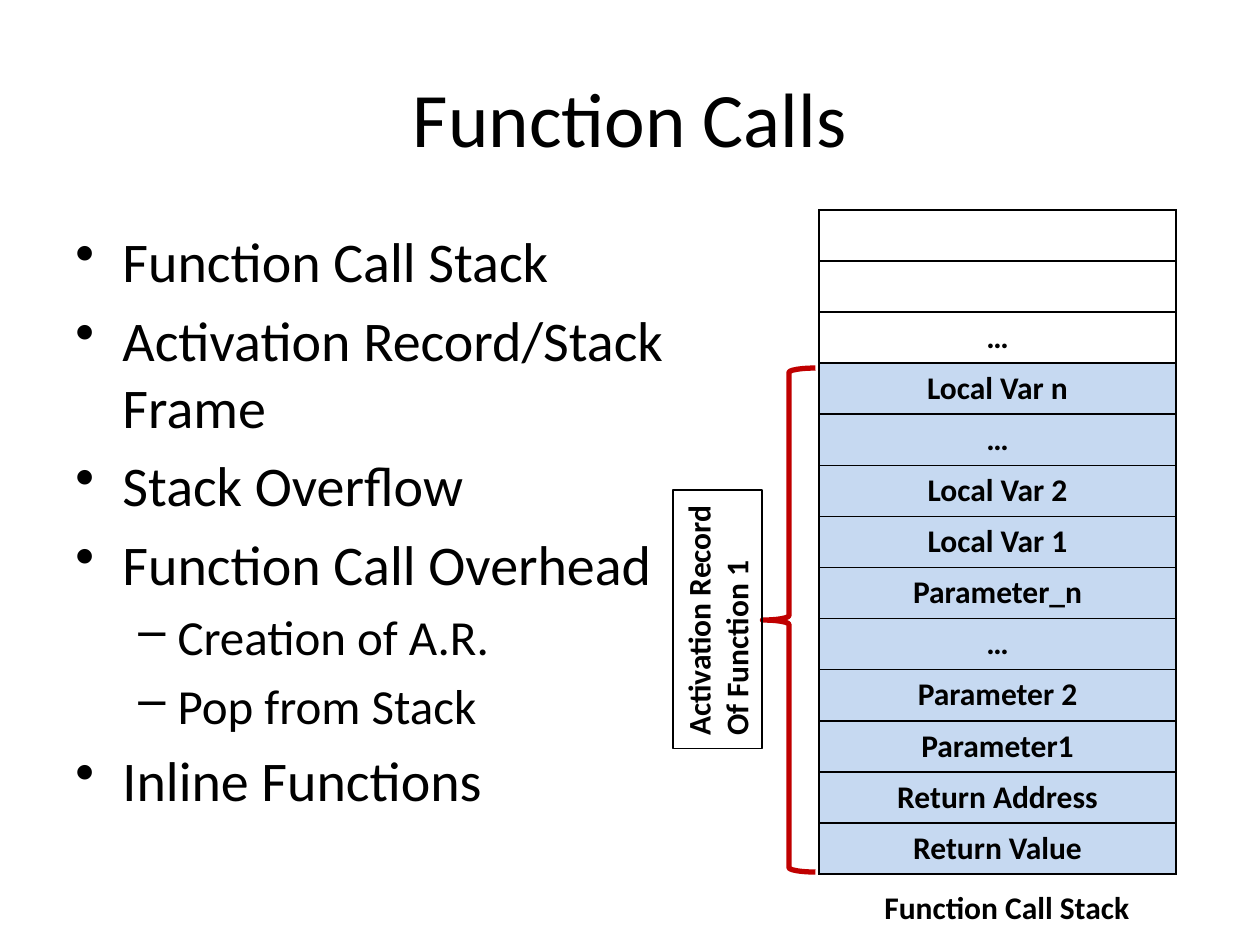
from lxml.etree import SubElement
from pptx import Presentation
from pptx.dml.color import RGBColor
from pptx.enum.shapes import MSO_SHAPE as Shape
from pptx.enum.text import MSO_ANCHOR as Anchor, PP_ALIGN as Align
from pptx.oxml.ns import qn
from pptx.util import Cm, Pt

COLORS = {"text": "000000", "record": "C6D9F1", "brace": "C00000"}


def color(name):
    return RGBColor.from_string(COLORS[name])


def write(paragraph, text, size, bold=False, align=Align.LEFT):
    paragraph.text = text
    paragraph.alignment = align
    font = paragraph.font
    font.name, font.size, font.bold = "Calibri", Pt(size), bold
    font.color.rgb = color("text")


deck = Presentation()
deck.slide_width, deck.slide_height = Cm(25.4), Cm(19.05)
page = deck.slides.add_slide(deck.slide_layouts[6])

# Title
title = page.shapes.add_textbox(Cm(1.27), Cm(0.76), Cm(22.86), Cm(3.18)).text_frame
title.word_wrap = True
title.vertical_anchor = Anchor.MIDDLE
write(title.paragraphs[0], "Function Calls", 44, align=Align.CENTER)

# Bulleted list: level, text
points = [
    (0, "Function Call Stack"),
    (0, "Activation Record/Stack Frame"),
    (0, "Stack Overflow"),
    (0, "Function Call Overhead"),
    (1, "Creation of A.R."),
    (1, "Pop from Stack"),
    (0, "Inline Functions"),
]
# Size, left margin, hanging indent and bullet of each level
levels = [(32, Cm(0.95), Cm(-0.95), "•"), (28, Cm(2.06), Cm(-0.79), "–")]
body = page.shapes.add_textbox(Cm(1.27), Cm(4.45), Cm(12.7), Cm(12.57)).text_frame
body.word_wrap = True
for index, (level, text) in enumerate(points):
    para = body.add_paragraph() if index else body.paragraphs[0]
    size, margin, indent, bullet = levels[level]
    write(para, text, size)
    para.level = level
    para.space_before = Pt(size * 0.2)
    props = para._p.get_or_add_pPr()
    props.set("marL", str(margin))
    props.set("indent", str(indent))
    mark = props.makeelement(qn("a:buChar"), {"char": bullet})
    props.insert_element_before(mark, "a:tabLst", "a:defRPr", "a:extLst")

# Call stack table
entries = ["", "", "…", "Local Var n", "…", "Local Var 2", "Local Var 1",
           "Parameter_n", "…", "Parameter 2", "Parameter1",
           "Return Address", "Return Value"]
first_record_row = 3
row_height = Cm(1.03)
stack = page.shapes.add_table(len(entries), 1, Cm(16.51), Cm(4.23), Cm(7.2),
                              row_height * len(entries)).table
stack.first_row = stack.horz_banding = False
for index, text in enumerate(entries):
    stack.rows[index].height = row_height
    cell = stack.cell(index, 0)
    write(cell.text_frame.paragraphs[0], text, 18, True, Align.CENTER)
    props = cell._tc.get_or_add_tcPr()
    for side in ("a:lnL", "a:lnR", "a:lnT", "a:lnB"):
        border = SubElement(props, qn(side), w=str(Pt(1)))
        fill = SubElement(border, qn("a:solidFill"))
        SubElement(fill, qn("a:srgbClr"), val=COLORS["text"])
    if index >= first_record_row:
        cell.fill.solid()
        cell.fill.fore_color.rgb = color("record")
    else:
        cell.fill.background()

# Table caption
caption = page.shapes.add_textbox(Cm(17.58), Cm(17.78), Cm(5.49), Cm(1.03)).text_frame
caption.word_wrap = False
write(caption.paragraphs[0], "Function Call Stack", 18, True)

# Brace around the activation record
brace = page.shapes.add_shape(Shape.LEFT_BRACE, Cm(15.37), Cm(7.42), Cm(1.07), Cm(10.16))
brace.shadow.inherit = False
brace.fill.background()
brace.line.color.rgb = color("brace")
brace.line.width = Pt(3)

# Rotated label of the activation record
label = page.shapes.add_shape(Shape.RECTANGLE, Cm(11.86), Cm(11.58), Cm(5.21), Cm(1.8))
label.rotation = 270
label.shadow.inherit = False
label.fill.background()
label.line.color.rgb = color("text")
label.line.width = Pt(0.75)
frame = label.text_frame
frame.word_wrap = False
frame.vertical_anchor = Anchor.TOP
write(frame.paragraphs[0], "Activation Record", 18, True)
write(frame.add_paragraph(), "Of Function 1", 18, True)

deck.save("out.pptx")
